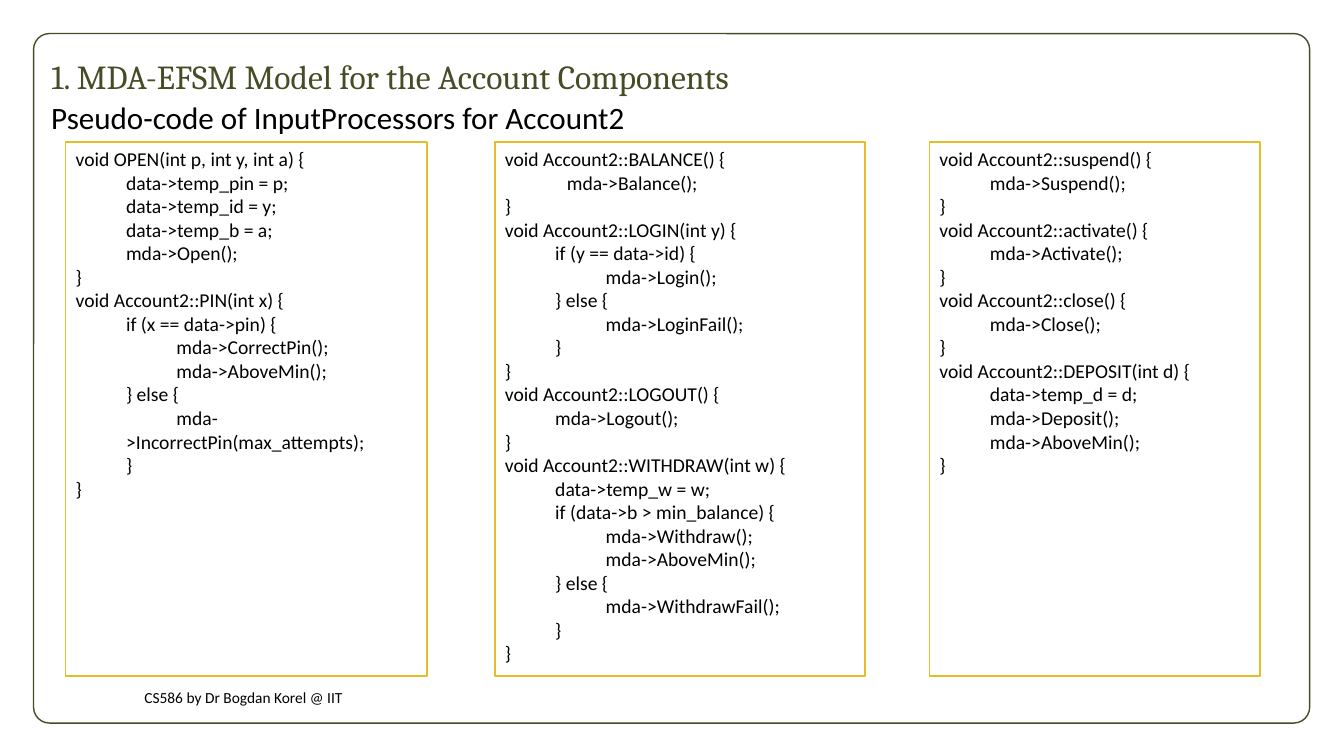
import pptx
import pptx.util
import pptx.dml.color
import pptx.enum.shapes
import pptx.enum.text

Pt = pptx.util.Pt
SHAPE = pptx.enum.shapes.MSO_SHAPE
ANCHOR = pptx.enum.text.MSO_ANCHOR
ALIGN = pptx.enum.text.PP_ALIGN

GREEN, GOLD, BLACK, WHITE = "444D26", "E7BC29", "000000", "FFFFFF"
TITLE = "1. MDA-EFSM Model for the Account Components"
SUBTITLE = "Pseudo-code of InputProcessors for Account2"
FOOTER = "CS586 by Dr Bogdan Korel @ IIT"

OPEN_PIN = """void OPEN(int p, int y, int a) {
    data->temp_pin = p;
    data->temp_id = y;
    data->temp_b = a;
    mda->Open();
}
void Account2::PIN(int x) {
    if (x == data->pin) {
        mda->CorrectPin();
        mda->AboveMin();
    } else {
        mda->IncorrectPin(max_attempts);
    }
}"""

BALANCE_TO_WITHDRAW = """void Account2::BALANCE() {
              mda->Balance();
}
void Account2::LOGIN(int y) {
    if (y == data->id) {
        mda->Login();
    } else {
        mda->LoginFail();
    }
}
void Account2::LOGOUT() {
    mda->Logout();
}
void Account2::WITHDRAW(int w) {
    data->temp_w = w;
    if (data->b > min_balance) {
        mda->Withdraw();
        mda->AboveMin();
    } else {
        mda->WithdrawFail();
    }
}"""

SUSPEND_TO_DEPOSIT = """void Account2::suspend() {
    mda->Suspend();
}
void Account2::activate() {
    mda->Activate();
}
void Account2::close() {
    mda->Close();
}
void Account2::DEPOSIT(int d) {
    data->temp_d = d;
    mda->Deposit();
    mda->AboveMin();
}"""

# left, width, code
PANELS = [
    (47, 258, OPEN_PIN),
    (353.5, 264.5, BALANCE_TO_WITHDRAW),
    (664, 236, SUSPEND_TO_DEPOSIT),
]
PANEL_TOP, PANEL_HEIGHT = 101.5, 381.5
CODE_INDENT = 36


def rgb(color):
    return pptx.dml.color.RGBColor.from_string(color)


def style(p, size, color=BLACK, font="Calibri"):
    p.alignment = ALIGN.LEFT
    for r in p.runs:
        r.font.size = Pt(size)
        r.font.name = font
        r.font.color.rgb = rgb(color)


def fill_line(sp, text, size, anchor, color=BLACK, font="Calibri"):
    """Put one line of text into a shape."""
    tf = sp.text_frame
    tf.word_wrap = True
    tf.auto_size = pptx.enum.text.MSO_AUTO_SIZE.NONE
    tf.vertical_anchor = anchor
    tf.text = text
    style(tf.paragraphs[0], size, color, font)
    return tf.paragraphs[0]


def add_outline(s, kind, box, color):
    sp = s.shapes.add_shape(kind, *map(Pt, box))
    sp.shadow.inherit = False
    sp.line.color.rgb = rgb(color)
    sp.line.width = Pt(1)
    return sp


def add_code(sp, code):
    """Indent four spaces by the margin and eight by the margin and a tab."""
    tf = sp.text_frame
    tf.word_wrap = True
    tf.vertical_anchor = ANCHOR.TOP
    for i, line in enumerate(code.split("\n")):
        p = tf.paragraphs[0] if i == 0 else tf.add_paragraph()
        text = line.lstrip()
        spaces = len(line) - len(text)
        if spaces in (4, 8):
            p.level = 1
            pPr = p._p.get_or_add_pPr()
            pPr.set("marL", str(Pt(CODE_INDENT)))
            pPr.set("indent", "0")
            p.text = "\t" + text if spaces == 8 else text
        else:
            p.text = line
        style(p, 14)


def main():
    prs = pptx.Presentation()
    prs.slide_width, prs.slide_height = Pt(960), Pt(540)
    s = prs.slides.add_slide(prs.slide_layouts[5])

    frame = add_outline(s, SHAPE.ROUNDED_RECTANGLE, (24, 24, 911.5, 492.5), GREEN)
    frame.adjustments[0] = 0.023
    frame.fill.background()

    title = s.shapes.title
    title.left, title.top, title.width, title.height = map(Pt, (29.5, 34, 767.5, 38))
    fill_line(title, TITLE, 24, ANCHOR.BOTTOM, GREEN, "Cambria")

    subtitle = s.shapes.add_textbox(*map(Pt, (29.5, 72, 834, 30)))
    fill_line(subtitle, SUBTITLE, 22.2, ANCHOR.TOP).line_spacing = 0.8

    footer = s.shapes.add_textbox(*map(Pt, (96, 486, 584, 24)))
    fill_line(footer, FOOTER, 11, ANCHOR.MIDDLE)

    for left, width, code in PANELS:
        panel = add_outline(s, SHAPE.RECTANGLE, (left, PANEL_TOP, width, PANEL_HEIGHT), GOLD)
        panel.fill.solid()
        panel.fill.fore_color.rgb = rgb(WHITE)
        add_code(panel, code)

    prs.save("out.pptx")


if __name__ == "__main__":
    main()
